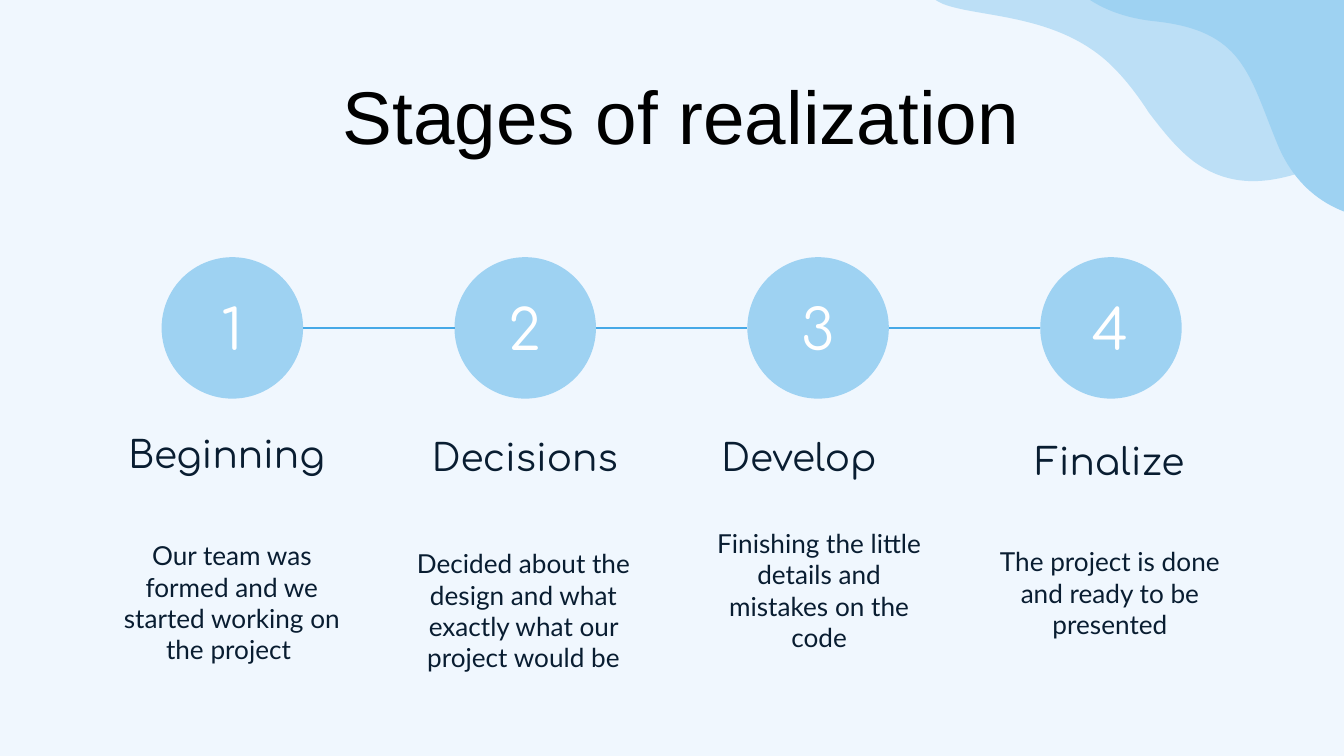
"""Build the slide with the four stages of a project."""
from dataclasses import dataclass

import lxml.etree
import pptx
import pptx.dml.color
import pptx.enum.shapes
import pptx.enum.text
import pptx.oxml.ns
import pptx.util

Pt = pptx.util.Pt
RGBColor = pptx.dml.color.RGBColor
Anchor = pptx.enum.text.MSO_ANCHOR
Align = pptx.enum.text.PP_ALIGN
Fit = pptx.enum.text.MSO_AUTO_SIZE
qn = pptx.oxml.ns.qn

PAPER = RGBColor(0xF0, 0xF7, 0xFE)
PALE = RGBColor(0xBC, 0xDF, 0xF6)
SKY = RGBColor(0x9E, 0xD2, 0xF2)
BLUE = RGBColor(0x46, 0xA9, 0xE7)
NAVY = RGBColor(0x09, 0x1D, 0x31)
WHITE = RGBColor(0xFF, 0xFF, 0xFF)
BLACK = RGBColor(0x00, 0x00, 0x00)

LEFT, TOP, SIZE, PITCH = 86.6, 137.8, 75.8, 156.9
WIDE, HEAD_TALL, BODY_TALL, INSET = 136.1, 41.8, 31.7, 7.2

Point = tuple[float, float]


@dataclass(frozen=True)
class Stage:
    """One stage, with the left and top of its two texts."""
    head: str
    head_at: Point
    body: str
    body_at: Point


@dataclass(frozen=True)
class Wave:
    """A wavy outline: a start, cubic curves and a closing corner."""
    color: RGBColor
    start: Point
    curves: list[tuple[Point, Point, Point]]
    end: Point


STAGES = [
    Stage("Beginning ", (56.2, 222),
          "Our team was formed and we started working on the project ", (56.2, 306.9)),
    Stage("Decisions", (213.1, 223.9),
          "Decided about the design and what exactly what our project would be", (212.4, 311.2)),
    Stage("Develop", (360, 223.9),
          "Finishing the little details and mistakes on the code", (370.8, 300.4)),
    Stage("Finalize", (526.6, 225.7),
          "The project is done and ready to be presented", (526.6, 301.7)),
]

WAVES = [
    Wave(PALE, (476.6, -31.7), [
        ((479.5, -23), (490.3, -4.3), (505.4, 2.2)),
        ((524.2, 9.4), (564.5, 7.2), (593.3, 33.1)),
        ((601.9, 41), (609.1, 50.4), (615.6, 60.5)),
        ((622.8, 69.8), (630, 79.2), (639.4, 86.4)),
        ((673.9, 111.6), (709.9, 85.7), (743.8, 73.4)),
        ((763.9, 66.2), (783.4, 64.8), (802.8, 73.4)),
        ((820.1, 81.4), (826.6, 94.3), (833, 110.2)),
    ], (835.2, -16.6)),
    Wave(SKY, (557.3, -49), [
        ((558, -20.9), (576, 7.2), (619.2, 11.5)),
        ((666, 16.6), (668.9, 39.6), (684, 76.3)),
        ((697.7, 110.9), (726.5, 116.6), (738, 117.4)),
    ], (738, -49)),
]


def paint(shape, color: RGBColor) -> None:
    """Give a shape a plain fill without line or shadow."""
    shape.shadow.inherit = False
    shape.fill.solid()
    shape.fill.fore_color.rgb = color
    shape.line.fill.background()


def bend(shape, count: int) -> None:
    """Turn each three leading segments of a freeform into a cubic curve."""
    lines = list(shape._element.iter(qn("a:lnTo")))
    for first in range(0, 3 * count, 3):
        curve = lxml.etree.Element(qn("a:cubicBezTo"))
        lines[first].addprevious(curve)
        for line in lines[first:first + 3]:
            curve.append(line[0])
            line.getparent().remove(line)


def draw_wave(slide, wave: Wave) -> None:
    """Draw one wave as a freeform."""
    spots = [spot for curve in wave.curves for spot in curve] + [wave.end]
    pen = slide.shapes.build_freeform(Pt(wave.start[0]), Pt(wave.start[1]))
    pen.add_line_segments([(Pt(x), Pt(y)) for x, y in spots], close=True)
    shape = pen.convert_to_shape()
    bend(shape, len(wave.curves))
    paint(shape, wave.color)


def write(shape, text: str, font: str, size: float, color: RGBColor,
          align: Align = Align.CENTER) -> None:
    """Put one paragraph of styled text in a shape."""
    part = shape.text_frame.paragraphs[0]
    part.text = text
    part.alignment = align
    for run in part.runs:
        run.font.name = font
        run.font.size = Pt(size)
        run.font.color.rgb = color


def pad(shape) -> None:
    """Set wrapping, middle anchor and even insets."""
    frame = shape.text_frame
    frame.word_wrap = True
    frame.auto_size = Fit.NONE
    frame.vertical_anchor = Anchor.MIDDLE
    frame.margin_left = frame.margin_right = Pt(INSET)
    frame.margin_top = frame.margin_bottom = Pt(INSET)


def draw_text(slide, at: Point, tall: float, text: str, font: str, size: float) -> None:
    """Draw a centred text box."""
    box = slide.shapes.add_textbox(Pt(at[0]), Pt(at[1]), Pt(WIDE), Pt(tall))
    pad(box)
    write(box, text, font, size, NAVY)


def draw_disc(slide, left: float, label: str) -> None:
    """Draw a numbered disc."""
    disc = slide.shapes.add_shape(pptx.enum.shapes.MSO_SHAPE.OVAL,
                                  Pt(left), Pt(TOP), Pt(SIZE), Pt(SIZE))
    paint(disc, SKY)
    pad(disc)
    write(disc, label, "Comfortaa", 30, WHITE)


def draw_link(slide, left: float, right: float) -> None:
    """Draw a level line between two discs."""
    mid = Pt(TOP + SIZE / 2)
    link = slide.shapes.add_connector(pptx.enum.shapes.MSO_CONNECTOR.STRAIGHT,
                                      Pt(left), mid, Pt(right), mid)
    link.line.color.rgb = BLUE
    link.line.width = Pt(1.5)
    lxml.etree.SubElement(link._element.spPr, qn("a:effectLst"))


def draw_title(slide, text: str) -> None:
    """Place and style the slide title."""
    title = slide.shapes.title
    title.left, title.top, title.width, title.height = Pt(176.4), Pt(33.8), Pt(380.9), Pt(55.4)
    frame = title.text_frame
    frame.word_wrap = False
    frame.auto_size = Fit.SHAPE_TO_FIT_TEXT
    frame.vertical_anchor = Anchor.TOP
    write(title, text, "Arial", 40, BLACK, Align.LEFT)


def main() -> None:
    """Build and save the slide."""
    deck = pptx.Presentation()
    deck.slide_width, deck.slide_height = Pt(720), Pt(405)
    slide = deck.slides.add_slide(deck.slide_layouts[5])
    slide.background.fill.solid()
    slide.background.fill.fore_color.rgb = PAPER
    draw_title(slide, "Stages of realization")
    for wave in WAVES:
        draw_wave(slide, wave)
    for rank, stage in enumerate(STAGES):
        left = LEFT + rank * PITCH
        draw_disc(slide, left, str(rank + 1))
        if rank:
            draw_link(slide, left - PITCH + SIZE, left)
        draw_text(slide, stage.head_at, HEAD_TALL, stage.head, "Comfortaa", 20)
        draw_text(slide, stage.body_at, BODY_TALL, stage.body, "Lato", 14)
    deck.save("out.pptx")


if __name__ == "__main__":
    main()
